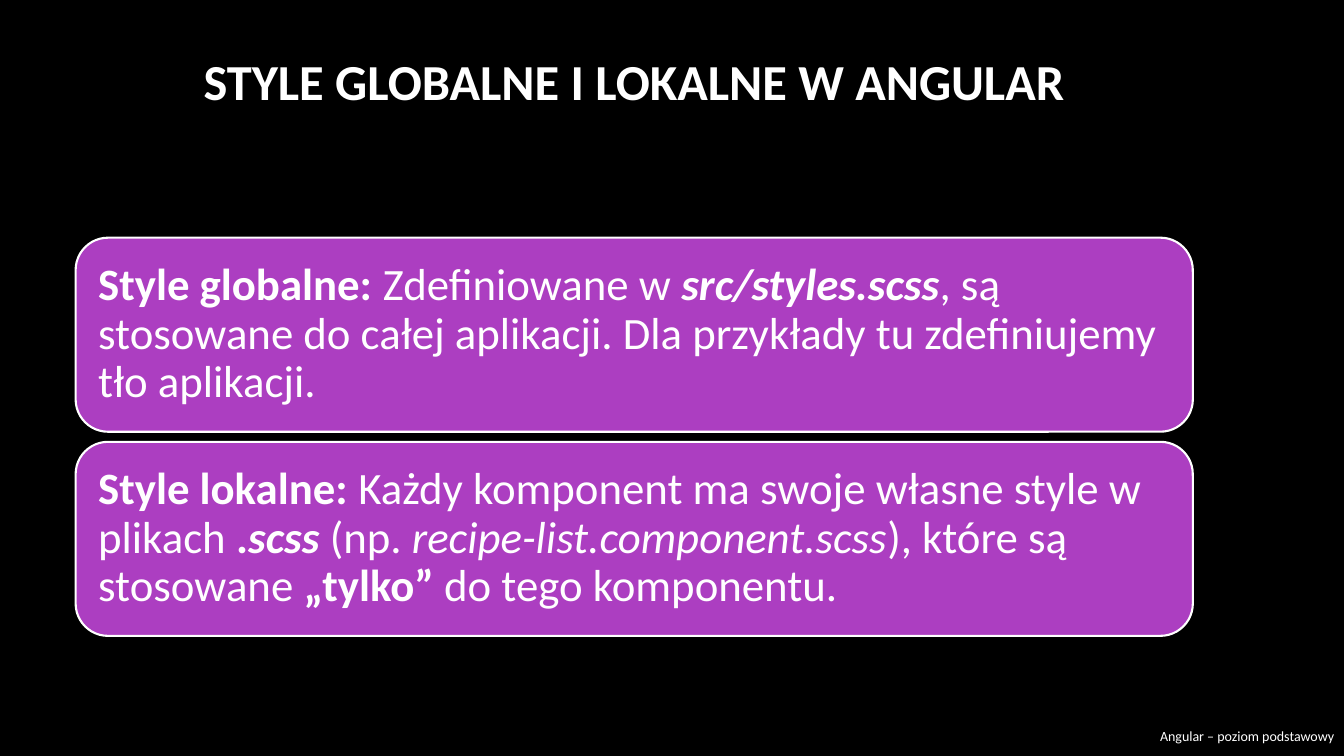
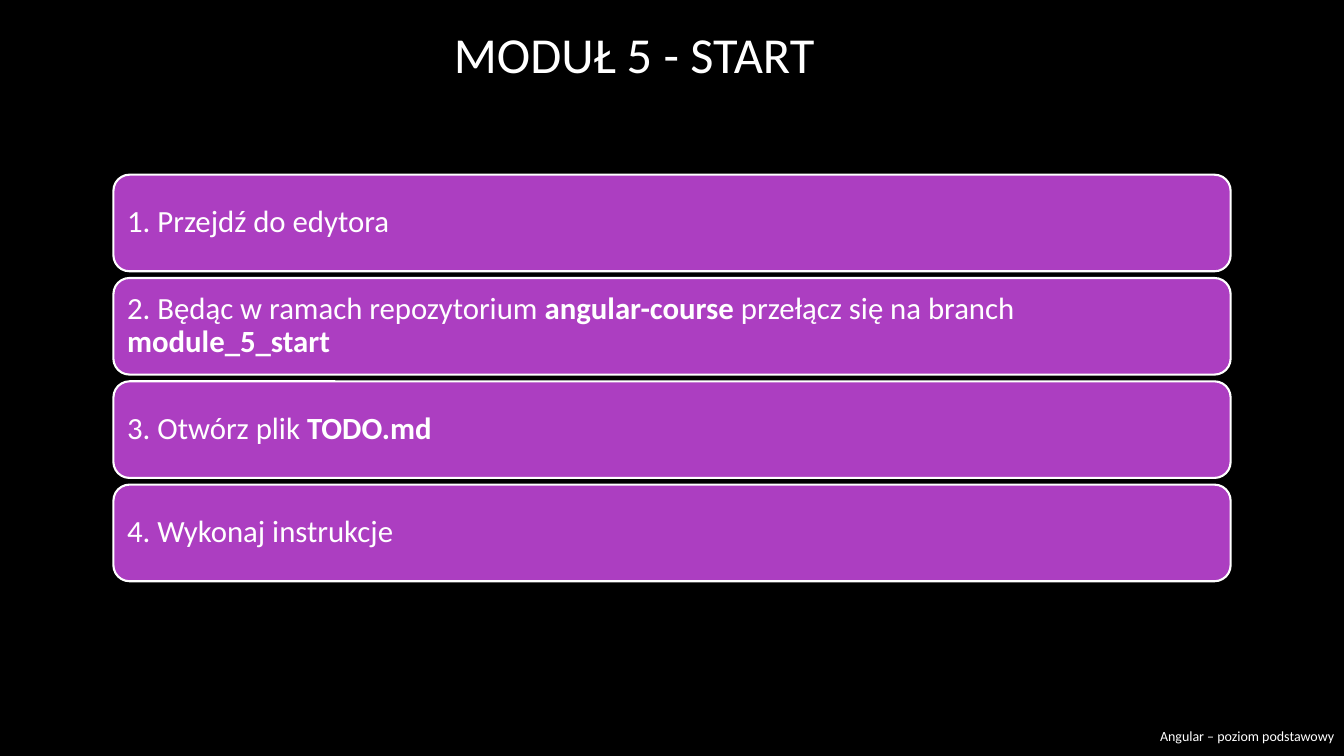
from dataclasses import dataclass

from pptx import Presentation
from pptx.dml.color import RGBColor
from pptx.enum.shapes import MSO_SHAPE
from pptx.enum.text import MSO_ANCHOR, PP_ALIGN
from pptx.shapes.autoshape import Shape
from pptx.slide import Slide
from pptx.util import Inches, Length, Pt

COLS, ROWS = 160, 90
WIDTH, HEIGHT = Inches(13.33), Inches(7.5)


@dataclass(frozen=True)
class Theme:
    back: RGBColor = RGBColor(0x00, 0x00, 0x00)
    ink: RGBColor = RGBColor(0xFF, 0xFF, 0xFF)
    card: RGBColor = RGBColor(0xAC, 0x3E, 0xC1)
    font: str = "Calibri"
    title: int = 36
    large: int = 32
    medium: int = 22
    small: int = 10
    line: float = 1.5
    spacing: float = 0.9


@dataclass(frozen=True)
class Box:
    col: float
    row: float
    wide: float
    high: float


@dataclass(frozen=True)
class Span:
    text: str
    bold: bool = False
    slant: bool = False


@dataclass(frozen=True)
class Stack:
    first: Box
    pitch: float
    inset: float
    size: int
    cards: tuple[tuple[Span, ...], ...]


@dataclass(frozen=True)
class Page:
    title: Span
    head: float
    stack: Stack


THEME = Theme()
LEFT, SPAN = 9, 133
FOOT = Box(136.3, 85.1, 23.7, 4.9)
FOOTER = Span("Angular – poziom podstawowy")

STYLES = Stack(Box(LEFT, 28.3, SPAN, 23.1), 24.3, 0.13, THEME.large, (
    (
        Span("Style globalne: ", bold=True),
        Span("Zdefiniowane w "),
        Span("src/styles.scss", bold=True, slant=True),
        Span(", są stosowane do całej aplikacji. "
             "Dla przykłady tu zdefiniujemy tło aplikacji."),
    ),
    (
        Span("Style lokalne: ", bold=True),
        Span("Każdy komponent ma swoje własne style w plikach "),
        Span(".", bold=True),
        Span("scss ", bold=True, slant=True),
        Span("(np. "),
        Span("recipe-list.component.scss", slant=True),
        Span("), które są stosowane "),
        Span("„tylko”", bold=True),
        Span(" do tego komponentu."),
    ),
))

STEPS = Stack(Box(13.5, 20.8, SPAN, 11.5), 12.3, 0.09, THEME.medium, (
    (Span("1. Przejdź do edytora"),),
    (
        Span("2. Będąc w ramach repozytorium "),
        Span("angular-course", bold=True),
        Span(" przełącz się na branch "),
        Span("module_5_start", bold=True),
    ),
    (Span("3. Otwórz plik "), Span("TODO.md", bold=True)),
    (Span("4. Wykonaj instrukcje"),),
))

PAGES = (
    Page(Span("STYLE GLOBALNE I LOKALNE W ANGULAR", bold=True), 19.1, STYLES),
    Page(Span("MODUŁ 5 - START"), 12.7, STEPS),
)


def place(box: Box) -> tuple[Length, Length, Length, Length]:
    return (
        Length(round(WIDTH * box.col / COLS)),
        Length(round(HEIGHT * box.row / ROWS)),
        Length(round(WIDTH * box.wide / COLS)),
        Length(round(HEIGHT * box.high / ROWS)),
    )


def write(shape: Shape, spans: tuple[Span, ...], size: int,
          align: PP_ALIGN) -> None:
    frame = shape.text_frame
    frame.word_wrap = True
    frame.vertical_anchor = MSO_ANCHOR.MIDDLE
    para = frame.paragraphs[0]
    para.alignment = align
    for span in spans:
        run = para.add_run()
        run.text = span.text
        font = run.font
        font.name, font.size = THEME.font, Pt(size)
        font.bold, font.italic = span.bold, span.slant
        font.color.rgb = THEME.ink


def label(slide: Slide, box: Box, span: Span, size: int,
          align: PP_ALIGN) -> None:
    write(slide.shapes.add_textbox(*place(box)), (span,), size, align)


def card(slide: Slide, box: Box, spans: tuple[Span, ...],
         stack: Stack) -> None:
    shape = slide.shapes.add_shape(MSO_SHAPE.ROUNDED_RECTANGLE, *place(box))
    shape.shadow.inherit = False
    shape.fill.solid()
    shape.fill.fore_color.rgb = THEME.card
    shape.line.color.rgb = THEME.ink
    shape.line.width = Pt(THEME.line)
    write(shape, spans, stack.size, PP_ALIGN.LEFT)
    frame = shape.text_frame
    frame.margin_left = frame.margin_right = Inches(stack.inset)
    frame.margin_top = frame.margin_bottom = Inches(stack.inset)
    frame.paragraphs[0].line_spacing = THEME.spacing


def draw(slide: Slide, page: Page) -> None:
    fill = slide.background.fill
    fill.solid()
    fill.fore_color.rgb = THEME.back
    label(slide, Box(LEFT, 0, SPAN, page.head), page.title, THEME.title,
          PP_ALIGN.CENTER)
    stack = page.stack
    first = stack.first
    for i, spans in enumerate(stack.cards):
        row = first.row + i * stack.pitch
        card(slide, Box(first.col, row, first.wide, first.high), spans, stack)
    label(slide, FOOT, FOOTER, THEME.small, PP_ALIGN.RIGHT)


def main() -> None:
    deck = Presentation()
    deck.slide_width, deck.slide_height = WIDTH, HEIGHT
    blank = deck.slide_layouts[6]
    for page in PAGES:
        draw(deck.slides.add_slide(blank), page)
    deck.save("out.pptx")


if __name__ == "__main__":
    main()
